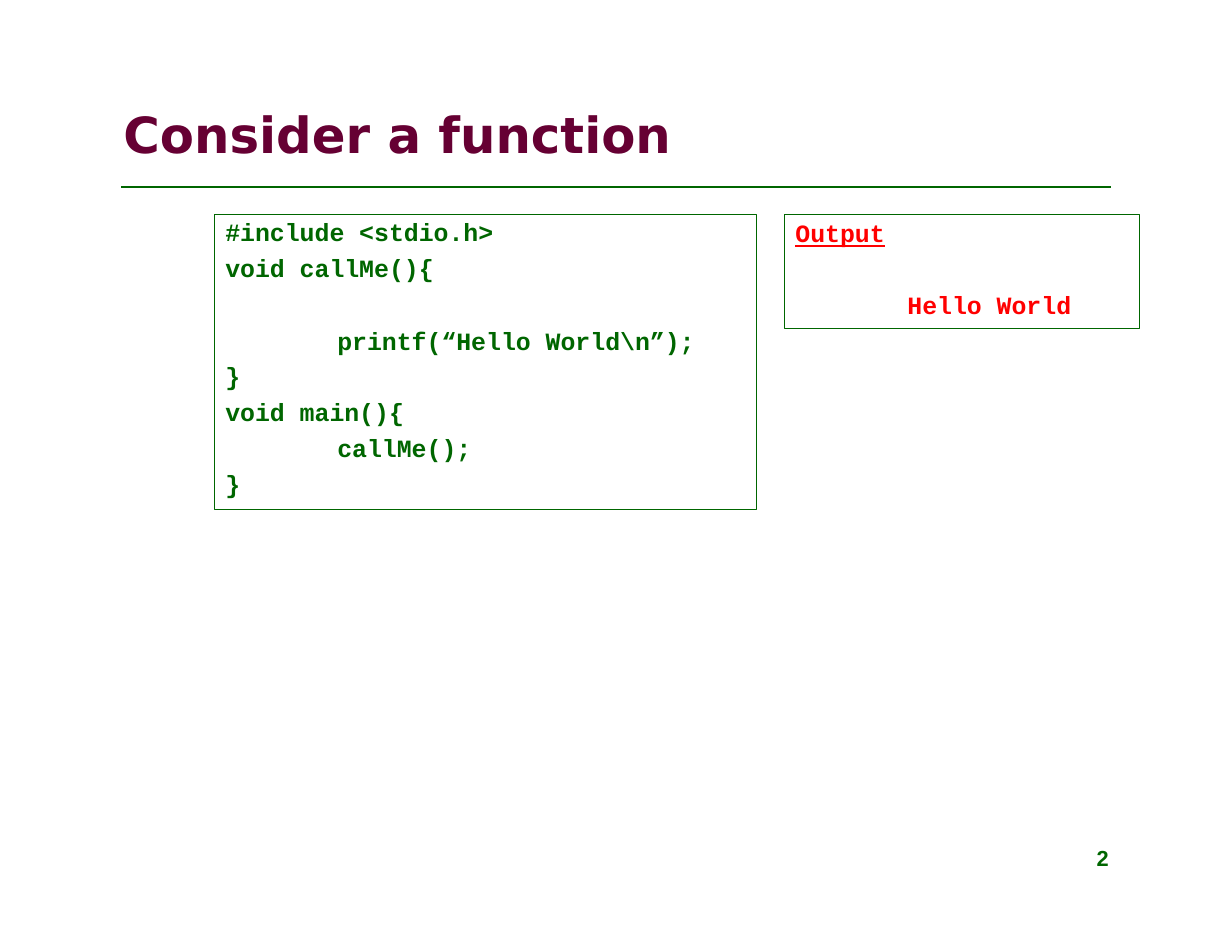
"""Build a slide showing a simple C function beside its output."""
from lxml import etree
from pptx import Presentation
from pptx.dml.color import RGBColor
from pptx.enum.shapes import MSO_CONNECTOR, MSO_SHAPE
from pptx.enum.text import MSO_ANCHOR, MSO_AUTO_SIZE, PP_ALIGN
from pptx.oxml.ns import qn
from pptx.util import Cm, Pt

RECTANGLE = MSO_SHAPE.RECTANGLE
STRAIGHT = MSO_CONNECTOR.STRAIGHT
TOP = MSO_ANCHOR.TOP
NO_AUTOFIT = MSO_AUTO_SIZE.NONE
LEFT = PP_ALIGN.LEFT

COLORS = {"green": "006600", "plum": "660033", "red": "FF0000"}
CODE_FONT = "Courier New"
NEAR, TABBED = 0.03, 2.57

TITLE = {
    "place": (2.62, 1.83, 19.56, 1.91), "inset": 0.53, "font": "DejaVu Sans",
    "size": 32, "color": "plum", "lines": [(0.18, ["Consider a ", "function"])],
}
RULE = (2.75, 25.2, 4.24)
FRAMES = [(4.87, 4.87, 12.28, 6.68), (17.8, 4.87, 8.04, 2.58)]
TEXTS = [
    {"place": (5.08, 4.75, 6.17, 1.7), "inset": 0.03, "spacing": 1.2,
     "lines": [(NEAR, ["#include ", "<stdio.h>"]), (NEAR, ["void ", "callMe(){"])]},
    {"place": (5.08, 7.19, 10.9, 4.14), "inset": 0.05, "spacing": 1.2,
     "lines": [(TABBED, ["printf(“Hello ", "World\\n”);"]), (NEAR, ["}"]),
               (NEAR, ["void ", "main(){"]), (TABBED, ["callMe();"]), (NEAR, ["}"])]},
    {"place": (18.01, 4.9, 2.4, 0.74), "inset": 0.03, "color": "red",
     "underline": True, "lines": [(NEAR, ["Output"])]},
    {"place": (20.55, 6.53, 4.1, 0.74), "inset": 0.03, "color": "red",
     "lines": [(NEAR, ["Hello ", "World"])]},
    {"place": (24.77, 19.18, 0.53, 0.64), "inset": 0, "font": "Arial", "size": 14,
     "spacing": Pt(16.5), "lines": [(0.1, ["2"])]},
]


def rgb(name):
    return RGBColor.from_string(COLORS[name])


def write_text(shape, text):
    shape.left, shape.top, shape.width, shape.height = map(Cm, text["place"])
    frame = shape.text_frame
    frame.word_wrap = True
    frame.auto_size = NO_AUTOFIT
    frame.vertical_anchor = TOP
    frame.margin_left = frame.margin_right = frame.margin_bottom = 0
    frame.margin_top = Cm(text["inset"])
    for index, (indent, runs) in enumerate(text["lines"]):
        paragraph = frame.add_paragraph() if index else frame.paragraphs[0]
        paragraph.alignment = LEFT
        paragraph.space_before = Pt(0)
        paragraph.line_spacing = text.get("spacing", 1.0)
        properties = paragraph._p.get_or_add_pPr()
        properties.set("marL", str(Cm(indent)))
        properties.set("indent", "0")
        for words in runs:
            run = paragraph.add_run()
            run.text = words
            run.font.name = text.get("font", CODE_FONT)
            run.font.size = Pt(text.get("size", 16))
            run.font.bold = True
            run.font.underline = text.get("underline", False)
            run.font.color.rgb = rgb(text.get("color", "green"))


def add_rule(slide):
    left, right, height = map(Cm, RULE)
    rule = slide.shapes.add_connector(STRAIGHT, left, height, right, height)
    rule.line.color.rgb = rgb("green")
    rule.line.width = Pt(1.5)
    etree.SubElement(rule._element.spPr, qn("a:effectLst"))


def add_frame(slide, place):
    frame = slide.shapes.add_shape(RECTANGLE, *map(Cm, place))
    frame.shadow.inherit = False
    frame.fill.background()
    frame.line.color.rgb = rgb("green")
    frame.line.width = Pt(0.75)


def main():
    presentation = Presentation()
    presentation.slide_width, presentation.slide_height = Cm(27.94), Cm(21.59)
    slide = presentation.slides.add_slide(presentation.slide_layouts[5])
    add_rule(slide)
    write_text(slide.shapes.title, TITLE)
    for place in FRAMES:
        add_frame(slide, place)
    for text in TEXTS:
        write_text(slide.shapes.add_textbox(*map(Cm, text["place"])), text)
    presentation.save("out.pptx")


if __name__ == "__main__":
    main()
